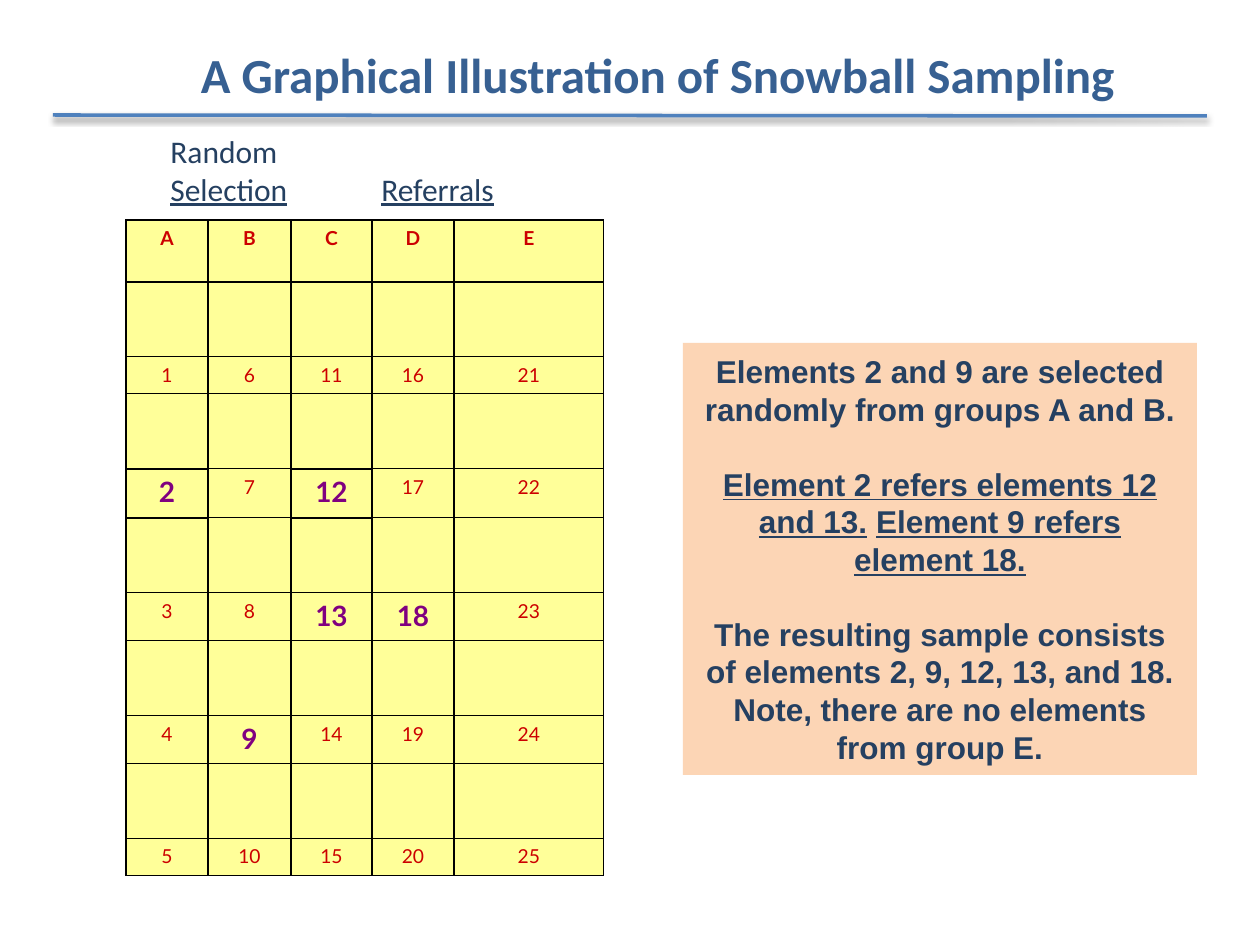
from dataclasses import dataclass

from lxml import etree
from pptx import Presentation
from pptx.dml.color import RGBColor
from pptx.enum import shapes, text
from pptx.oxml import parse_xml
from pptx.oxml.ns import nsdecls, qn
from pptx.util import Pt

SCALE = 914400 / 126
COLUMNS = [82, 83, 81, 82, 150]
ROWS = [62, 75, 37, 75, 49, 75, 48, 75, 48, 75, 37]
SAMPLE = {2, 9, 12, 13, 18}


@dataclass(frozen=True)
class Theme:
    """Colours, fonts and type sizes of the slide."""
    title: str = "376092"
    ink: str = "254061"
    rule: str = "4F81BD"
    grid: str = "000000"
    cell: str = "FFFF99"
    number: str = "CC0000"
    sampled: str = "800080"
    note: str = "FCD5B5"
    heading_font: str = "Calibri"
    table_font: str = "Lato"
    note_font: str = "Arial"
    title_size: int = 28
    body_size: int = 18
    sampled_size: int = 16
    number_size: int = 11


THEME = Theme()


def px(n):
    """Turn px into EMU."""
    return round(n * SCALE)


def place(sp, box):
    """Move a shape to a box given in px."""
    sp.left, sp.top, sp.width, sp.height = map(px, box)


def style(r, font, size, color, bold=False, underline=False):
    """Format one run."""
    f = r.font
    f.name, f.size, f.bold, f.underline = font, Pt(size), bold, underline
    f.color.rgb = RGBColor.from_string(color)


def add_title(s, box):
    """Fill the title placeholder."""
    sp = s.shapes.title
    place(sp, box)
    tf = sp.text_frame
    tf.text = "A Graphical Illustration of Snowball Sampling"
    tf.vertical_anchor = text.MSO_ANCHOR.MIDDLE
    p = tf.paragraphs[0]
    p.alignment = text.PP_ALIGN.CENTER
    style(p.runs[0], THEME.heading_font, THEME.title_size, THEME.title, True)


def add_rule(s, box):
    """Draw the shadowed rule under the title."""
    x, y, w, h = box
    line = s.shapes.add_connector(
        shapes.MSO_CONNECTOR.STRAIGHT, px(x), px(y), px(x + w), px(y + h))
    line.line.width = Pt(2)
    line.line.color.rgb = RGBColor.from_string(THEME.rule)
    line._element.spPr.append(parse_xml(
        f'<a:effectLst {nsdecls("a")}>'
        '<a:outerShdw blurRad="40000" dist="20000" dir="5400000" rotWithShape="0">'
        '<a:srgbClr val="000000"><a:alpha val="38000"/></a:srgbClr>'
        '</a:outerShdw></a:effectLst>'))


def set_borders(cell, widths):
    """Give a cell its left, right, top and bottom border widths."""
    tc_pr = cell._tc.get_or_add_tcPr()
    for side, width in zip("LRTB", widths):
        tc_pr.append(parse_xml(
            f'<a:ln{side} {nsdecls("a")} w="{Pt(width)}"><a:solidFill>'
            f'<a:srgbClr val="{THEME.grid}"/></a:solidFill></a:ln{side}>'))


def element_at(row, col):
    """Return the element number in a cell, or None."""
    if row in range(2, len(ROWS), 2) and col in range(len(COLUMNS)):
        return 5 * col + row // 2
    return None


def add_population(s, box):
    """Build the table of groups A to E with the sampled elements marked."""
    table = s.shapes.add_table(len(ROWS), len(COLUMNS), *map(px, box)).table
    table.first_row = table.horz_banding = False
    for column, width in zip(table.columns, COLUMNS):
        column.width = px(width)
    for row, height in zip(table.rows, ROWS):
        row.height = px(height)
    for i in range(len(ROWS)):
        for j in range(len(COLUMNS)):
            cell, number = table.cell(i, j), element_at(i, j)
            sampled = number in SAMPLE
            neighbours = (i, j - 1), (i, j + 1), (i - 1, j), (i + 1, j)
            set_borders(cell, [1 if sampled or element_at(*n) in SAMPLE else 0.75
                               for n in neighbours])
            cell.fill.solid()
            cell.fill.fore_color.rgb = RGBColor.from_string(THEME.cell)
            label = "ABCDE"[j] if i == 0 else str(number or "")
            if not label:
                continue
            cell.text_frame.text = label
            p = cell.text_frame.paragraphs[0]
            p.alignment = text.PP_ALIGN.CENTER
            size, color = ((THEME.sampled_size, THEME.sampled) if sampled
                           else (THEME.number_size, THEME.number))
            style(p.runs[0], THEME.table_font, size, color, sampled or i == 0)


def add_note(s, box):
    """Build the panel that explains the sample."""
    sp = s.shapes.add_shape(shapes.MSO_SHAPE.RECTANGLE, *map(px, box))
    sp.shadow.inherit = False
    sp.fill.solid()
    sp.fill.fore_color.rgb = RGBColor.from_string(THEME.note)
    sp.line.fill.background()
    tf = sp.text_frame
    tf.word_wrap = True
    tf.vertical_anchor = text.MSO_ANCHOR.MIDDLE
    paragraphs = [
        (0, [("Elements 2 and 9 are selected randomly from groups A and B.", False)]),
        (21, [("Element 2 refers elements 12 and 13.", True), (" ", False),
              ("Element 9 refers", True)]),
        (0, [("element 18.", True)]),
        (21, [("The resulting sample consists of elements 2, 9, 12, 13, and 18. "
               "Note, there are no elements from group E.", False)]),
    ]
    for k, (gap, runs) in enumerate(paragraphs):
        p = tf.add_paragraph() if k else tf.paragraphs[0]
        p.alignment = text.PP_ALIGN.CENTER
        p.space_before = Pt(gap)
        for words, underline in runs:
            r = p.add_run()
            r.text = words
            style(r, THEME.note_font, THEME.body_size, THEME.ink, True, underline)


def add_headings(s, box, referrals_tab):
    """Write the headings above the table columns."""
    tf = s.shapes.add_textbox(*map(px, box)).text_frame
    tf.word_wrap = True
    lines = [["Random"], ["Selection", "\t", "Referrals"]]
    for k, words in enumerate(lines):
        p = tf.add_paragraph() if k else tf.paragraphs[0]
        tabs = etree.SubElement(p._p.get_or_add_pPr(), qn("a:tabLst"))
        etree.SubElement(tabs, qn("a:tab"), pos=str(px(referrals_tab)), algn="l")
        for word in words:
            r = p.add_run()
            r.text = word
            style(r, THEME.heading_font, THEME.body_size, THEME.ink,
                  underline=k == 1 and word != "\t")


def main():
    """Build and save the slide."""
    prs = Presentation()
    prs.slide_width, prs.slide_height = px(1260), px(945)
    s = prs.slides.add_slide(prs.slide_layouts[5])
    add_rule(s, (53, 115, 1154, 1))
    add_title(s, (73, -5, 1169, 158))
    add_population(s, (126, 220, sum(COLUMNS), sum(ROWS)))
    add_note(s, (683, 343, 514, 432))
    add_headings(s, (158, 126, 630, 89), 211)
    prs.save("out.pptx")


if __name__ == "__main__":
    main()
